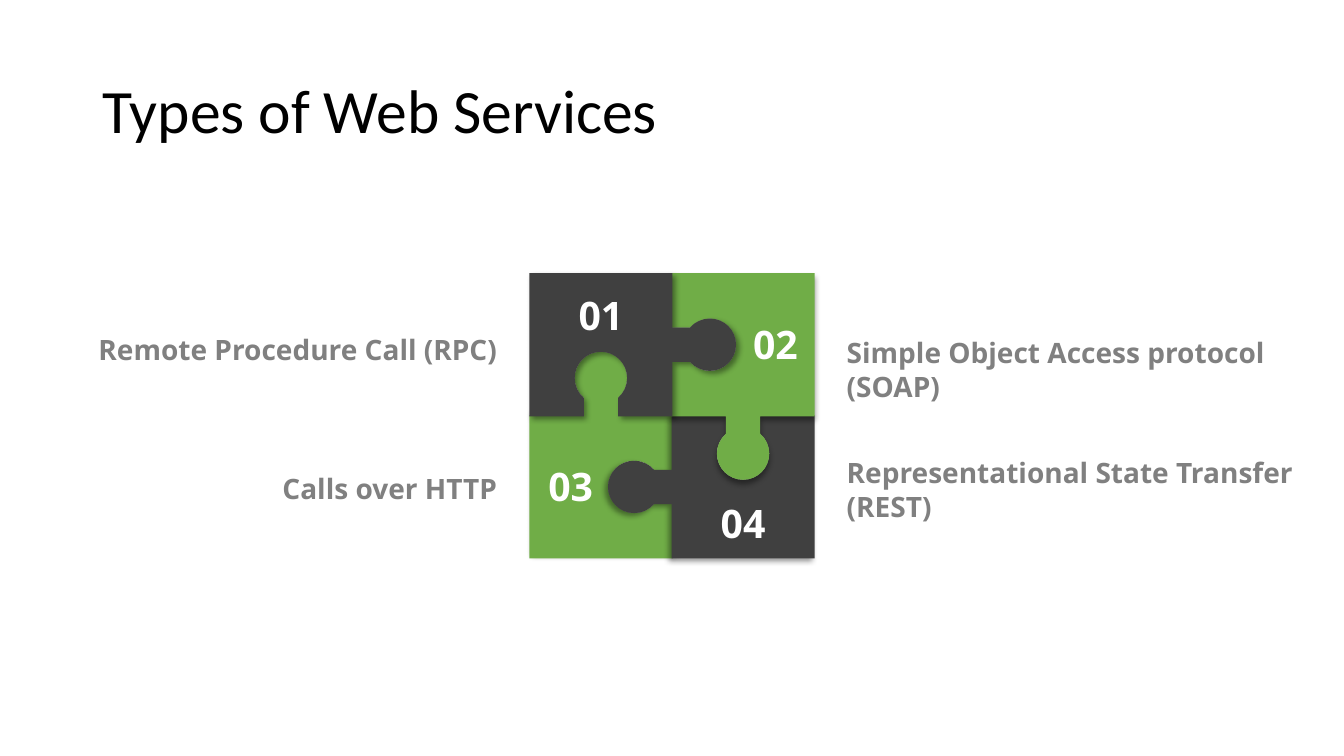
from math import asin, cos, pi, radians, sin, tan

from lxml.etree import SubElement
from pptx import Presentation
from pptx.dml.color import RGBColor
from pptx.enum.text import MSO_ANCHOR as Anchor, PP_ALIGN as Align
from pptx.oxml.ns import qn
from pptx.util import Inches, Pt

COLORS = {"title": "000000", "dark": "404040", "green": "70AD47",
          "number": "FFFFFF", "label": "808080", "shadow": "000000"}
SIDE = 1.42      # edge of a puzzle square
PITCH = 1.41     # distance between square centres
KNOB = 0.26      # radius of the round knob
NECK = 0.17      # half width of the neck
TAB = 1.08       # square centre to knob centre
SOCKET = 0.33    # square centre to socket centre


def knob(center_x, center_y, facing, sweep):
    """Return four curves round a knob, each as two handles and an end."""
    reach = pi - asin(NECK / KNOB)
    stops = [facing + sweep * a for a in (-reach, -pi / 2, 0, pi / 2, reach)]
    curves = []
    for start, end in zip(stops, stops[1:]):
        pull = 4 / 3 * tan((end - start) / 4)
        spots = [(cos(start) - pull * sin(start), sin(start) + pull * cos(start)),
                 (cos(end) + pull * sin(end), sin(end) - pull * cos(end)),
                 (cos(end), sin(end))]
        curves.append([(center_x + KNOB * x, center_y + KNOB * y) for x, y in spots])
    return curves


def piece_outline():
    """Return the steps round a piece with its tab right and socket below."""
    half = SIDE / 2
    bend = (KNOB ** 2 - NECK ** 2) ** 0.5
    return [[(-half, -half)], [(half, -half)], [(half, -NECK)],
            [(TAB - bend, -NECK)], *knob(TAB, 0, 0, 1),
            [(half, NECK)], [(half, half)], [(NECK, half)],
            [(NECK, SOCKET + bend)], *knob(0, SOCKET, -pi / 2, -1),
            [(-NECK, half)], [(-half, half)]]


def bend_curves(shape, steps):
    """Turn each three-point step of a freeform into a Bezier curve."""
    lines = iter(list(shape.element.iter(qn("a:lnTo"))))
    for step in steps:
        first, *others = [next(lines) for _ in step]
        if others:
            first.tag = qn("a:cubicBezTo")
            for line in others:
                first.append(line[0])
                line.getparent().remove(line)


class PuzzleSlide:
    """Holds the slide and the style of its elements."""

    def __init__(self, deck, font="Open Sans"):
        """Add a blank slide to the deck."""
        self.slide = deck.slides.add_slide(deck.slide_layouts[6])
        self.font = font

    def text(self, content, left, top, width, height, *, size=20, color="label",
             bold=True, font=None, align=Align.LEFT, anchor=Anchor.TOP,
             wrap=True, spacing=1.0):
        """Add a formatted text box."""
        box = self.slide.shapes.add_textbox(
            Inches(left), Inches(top), Inches(width), Inches(height))
        frame = box.text_frame
        frame.word_wrap = wrap
        frame.vertical_anchor = anchor
        paragraph = frame.paragraphs[0]
        paragraph.alignment = align
        paragraph.line_spacing = spacing
        run = paragraph.add_run()
        run.text = content
        run.font.name = font or self.font
        run.font.size = Pt(size)
        run.font.bold = bold
        run.font.color.rgb = RGBColor.from_string(COLORS[color])

    def piece(self, center_x, center_y, turn, color, light):
        """Add a puzzle piece turned clockwise, its shadow falling at light."""
        steps = piece_outline()
        start, *points = [(Inches(x), Inches(y)) for step in steps for x, y in step]
        builder = self.slide.shapes.build_freeform(*start)
        builder.add_line_segments(points, close=True)
        piece = builder.convert_to_shape(Inches(center_x), Inches(center_y))
        bend_curves(piece, steps[1:])
        shift = (TAB + KNOB - SIDE / 2) / 2
        piece.left = Inches(center_x + shift * cos(radians(turn))) - piece.width // 2
        piece.top = Inches(center_y + shift * sin(radians(turn))) - piece.height // 2
        piece.rotation = turn
        piece.fill.solid()
        piece.fill.fore_color.rgb = RGBColor.from_string(COLORS[color])
        piece.line.fill.background()
        self.shadow(piece, light)

    def shadow(self, shape, direction):
        """Give a shape a soft outer shadow."""
        shape.shadow.inherit = False
        effects = shape.element.spPr.find(qn("a:effectLst"))
        outer = SubElement(effects, qn("a:outerShdw"), blurRad=str(Pt(4)),
                           dist=str(Pt(3)), dir=str(direction * 60000),
                           algn="ctr", rotWithShape="0")
        tint = SubElement(outer, qn("a:srgbClr"), val=COLORS["shadow"])
        SubElement(tint, qn("a:alpha"), val="40000")


def main():
    """Build the slide and save it."""
    deck = Presentation()
    deck.slide_width, deck.slide_height = Inches(13.33), Inches(7.5)
    page = PuzzleSlide(deck)
    page.text("Types of Web Services", 0.92, 0.4, 11.5, 1.45, size=44, color="title",
              bold=False, font="Calibri", anchor=Anchor.MIDDLE, spacing=0.9)

    # column, row, clockwise turn, colour, shadow direction; back to front
    pieces = [(0, 1, 270, "green", 315), (1, 1, 180, "dark", 135),
              (1, 0, 90, "green", 90), (0, 0, 0, "dark", 45)]
    for column, row, turn, color, light in pieces:
        page.piece(5.96 + column * PITCH, 3.42 + row * PITCH, turn, color, light)

    numbers = [("01", 5.64, 2.84), ("02", 7.37, 3.13),
               ("04", 7.05, 4.9), ("03", 5.34, 4.54)]
    for number, left, top in numbers:
        page.text(number, left, top, 0.65, 0.57, size=28, color="number", wrap=False)

    services = [
        ("Simple Object Access protocol (SOAP)", 8.3, 3.28, 4.84, 0.77, Align.LEFT),
        ("Representational State Transfer (REST)", 8.3, 4.47, 4.84, 0.77, Align.LEFT),
        ("Remote Procedure Call (RPC)", 0.19, 3.25, 4.84, 0.44, Align.RIGHT),
        ("Calls over HTTP", 1, 4.63, 4.03, 0.44, Align.RIGHT)]
    for service, left, top, width, height, align in services:
        page.text(service, left, top, width, height, align=align)

    deck.save("out.pptx")


main()
